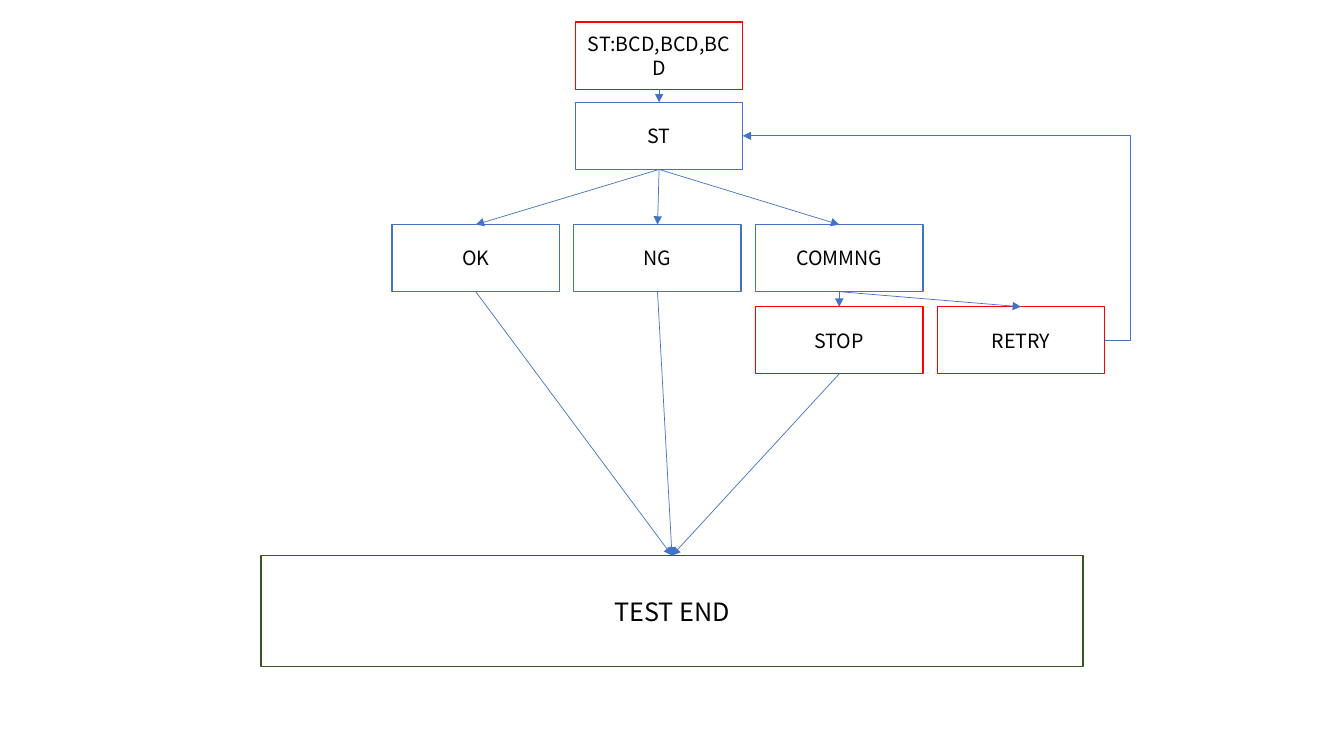
from lxml import etree
from pptx import Presentation
from pptx.dml.color import RGBColor
from pptx.enum.shapes import MSO_CONNECTOR, MSO_SHAPE
from pptx.enum.text import MSO_ANCHOR, PP_ALIGN
from pptx.oxml.ns import qn
from pptx.util import Cm, Pt

RECT = MSO_SHAPE.RECTANGLE
LINE, BENT = MSO_CONNECTOR.STRAIGHT, MSO_CONNECTOR.ELBOW
MID, CENTER = MSO_ANCHOR.MIDDLE, PP_ALIGN.CENTER
TOP, BOTTOM, RIGHT = 0, 2, 3  # connection sites of a rectangle

FONT = "Noto Sans CJK KR"
COLORS = {"white": "FFFFFF", "black": "000000", "red": "FF0000",
          "blue": "4472C4", "green": "385723"}
BOX_W, BOX_H = 4.22, 1.69
COLS = [9.88 + 4.58 * i for i in range(4)]
START_X = 14.5
ROWS = [0.56, 2.58, 5.66, 7.73]

deck = Presentation()
deck.slide_width, deck.slide_height = Cm(33.87), Cm(19.05)
slide = deck.slides.add_slide(deck.slide_layouts[6])


def add_box(text, x, y, color, w=BOX_W, h=BOX_H, size=14):
    """Add an outlined box with centred text; lengths in cm."""
    box = slide.shapes.add_shape(RECT, Cm(x), Cm(y), Cm(w), Cm(h))
    box.shadow.inherit = False
    box.fill.solid()
    box.fill.fore_color.rgb = RGBColor.from_string(COLORS["white"])
    box.line.color.rgb = RGBColor.from_string(COLORS[color])
    box.line.width = Pt(1)
    frame = box.text_frame
    frame.word_wrap = True
    frame.vertical_anchor = MID
    para = frame.paragraphs[0]
    para.alignment = CENTER
    run = para.add_run()
    run.text = text
    run.font.name, run.font.size = FONT, Pt(size)
    run.font.color.rgb = RGBColor.from_string(COLORS["black"])
    return box


def add_arrow(start, end, kind=LINE, out=BOTTOM, into=TOP):
    """Join two boxes with a thin arrow glued to their sides."""
    arrow = slide.shapes.add_connector(kind, 0, 0, 0, 0)
    arrow.begin_connect(start, out)
    arrow.end_connect(end, into)
    arrow.line.color.rgb = RGBColor.from_string(COLORS["blue"])
    arrow.line.width = Pt(0.5)
    etree.SubElement(arrow.line._get_or_add_ln(), qn("a:tailEnd"), type="triangle")
    etree.SubElement(arrow._element.spPr, qn("a:effectLst"))
    return arrow


# Boxes
order = add_box("ST:BCD,BCD,BCD", START_X, ROWS[0], "red")
start = add_box("ST", START_X, ROWS[1], "blue")
good, bad, comm = [add_box(text, x, ROWS[2], "blue")
                   for text, x in zip(["OK", "NG", "COMMNG"], COLS)]
stop, retry = [add_box(text, x, ROWS[3], "red")
               for text, x in zip(["STOP", "RETRY"], COLS[2:])]
finish = add_box("TEST END", 6.58, 14, "green", 20.71, 2.8, 18)

# Straight arrows
for tail, head in [(order, start), (start, good), (start, bad), (start, comm),
                   (comm, stop), (comm, retry),
                   (good, finish), (bad, finish), (stop, finish)]:
    add_arrow(tail, head)

# Retry loop, bulging to the right of its box
loop = add_arrow(retry, start, BENT, RIGHT, RIGHT)
guides = loop._element.spPr.find(qn("a:prstGeom")).get_or_add_avLst()
etree.SubElement(guides, qn("a:gd"), name="adj1", fmla="val -7000")

deck.save("out.pptx")
